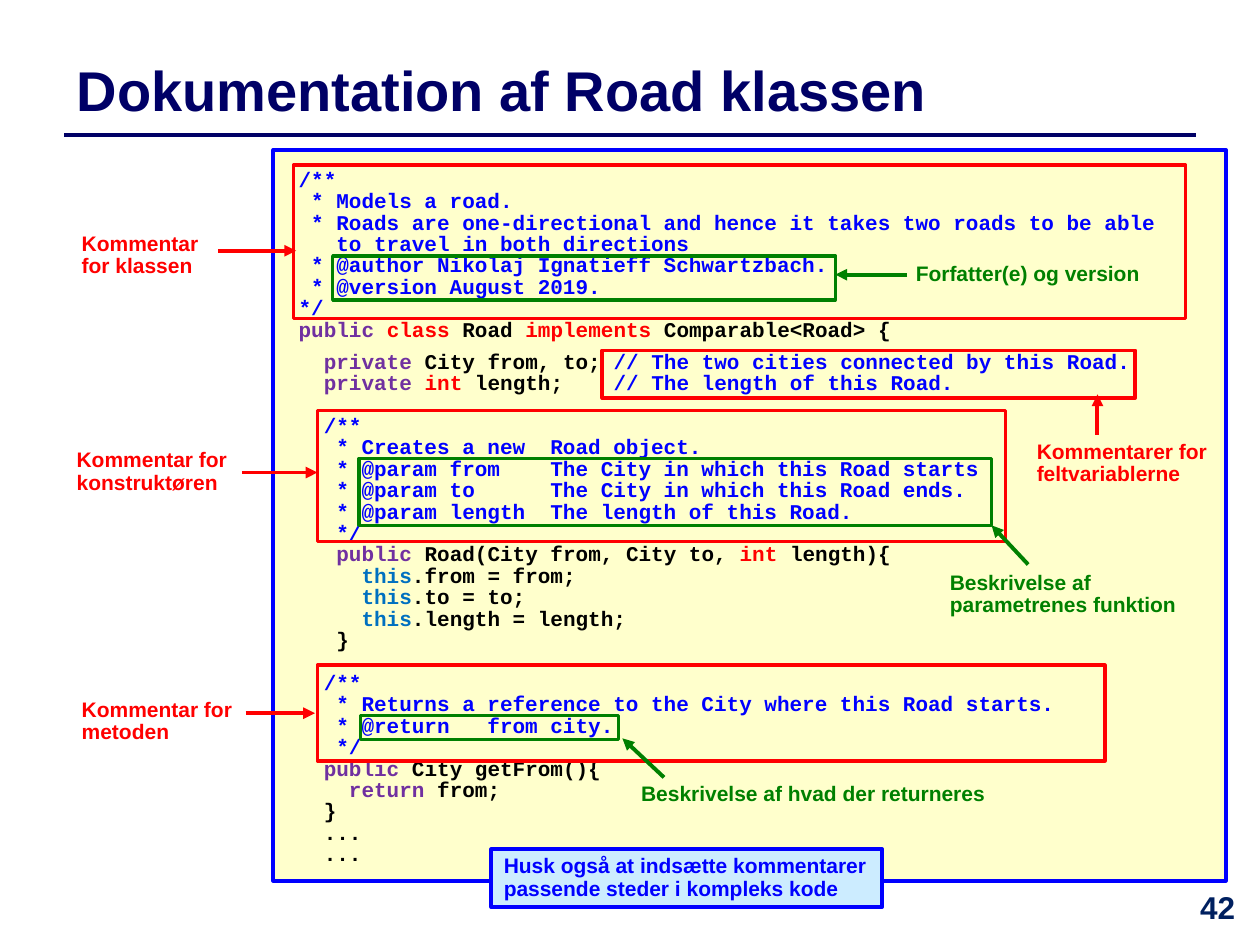
import pptx
import pptx.util
import pptx.dml.color
import pptx.enum.shapes
import pptx.enum.text
import pptx.oxml
import pptx.oxml.ns
from pptx.util import Inches

COLORS = {
    "navy": "000066", "number": "002060", "blue": "0000FF", "red": "FF0000",
    "green": "008000", "purple": "7030A0", "azure": "0070C0",
    "black": "000000", "cream": "FFFFCC", "sky": "CCECFF",
}

# Each code line is a list of (colour, text) runs; an empty list is a blank line
CODE = [
    [("blue", "/**")],
    [("blue", " * Models a road.")],
    [("blue", " * Roads are one-directional and hence it takes two roads to be able")],
    [("blue", "   to travel in both directions")],
    [("blue", " * @author Nikolaj Ignatieff Schwartzbach.")],
    [("blue", " * @version August 2019.")],
    [("blue", "*/")],
    [("purple", "public "), ("red", "class"), ("black", " Road "),
     ("red", "implements"), ("black", " Comparable<Road> {")],
    [("purple", "  private"), ("black", " City from, to; "),
     ("blue", "// The two cities connected by this Road.")],
    [("purple", "  private "), ("red", "int "), ("black", "length;    "),
     ("blue", "// The length of this Road.")],
    [],
    [("blue", "  /**")],
    [("blue", "   * Creates a new  Road object.")],
    [("blue", "   * @param from    The City in which this Road starts")],
    [("blue", "   * @param to      The City in which this Road ends.")],
    [("blue", "   * @param length  The length of this Road.")],
    [("blue", "   */")],
    [("purple", "   public "), ("black", "Road(City from, City to, "),
     ("red", "int"), ("black", " length){")],
    *[[("azure", "     this"), ("black", f".{field} = {field};")]
      for field in ("from", "to", "length")],
    [("black", "   }")],
    [],
    [("blue", "  /**")],
    [("blue", "   * Returns a reference to the City where this Road starts.")],
    [("blue", "   * @return   from city.")],
    [("blue", "   */")],
    [("purple", "  public "), ("black", "City getFrom(){")],
    [("purple", "    return "), ("black", "from;")],
    [("black", "  }")],
    [("black", "  ...")],
    [("black", "  ...")],
]
CLASS_HEADER = 7
BLANK_LINE = 12.2

# Left, top, width, height
FRAMES = [
    ("red", 2.33, 1.31, 7.08, 1.22),
    ("green", 2.85, 3.64, 5.02, 0.53),
    ("green", 2.86, 5.68, 2.05, 0.19),
    ("green", 2.64, 2.03, 3.99, 0.35),
    ("red", 2.52, 3.26, 5.46, 1.04),
    ("red", 2.52, 5.28, 6.25, 0.76),
    ("red", 4.78, 2.78, 4.23, 0.38),
]

# Colour, text, label box, arrow start and end
NOTES = [
    ("red", "Kommentar for klassen", (0.55, 1.8, 1.19, 0.46), (1.73, 1.99, 2.35, 1.99)),
    ("red", "Kommentarer for feltvariablerne", (8.13, 3.45, 1.61, 0.46), (8.71, 3.45, 8.71, 3.13)),
    ("red", "Kommentar for konstruktøren", (0.51, 3.52, 1.49, 0.46), (1.92, 3.75, 2.52, 3.75)),
    ("red", "Kommentar for metoden", (0.55, 5.5, 1.49, 0.46), (1.95, 5.66, 2.5, 5.66)),
    ("green", "Beskrivelse af parametrenes funktion", (7.44, 4.49, 2.16, 0.46), (8.16, 4.48, 7.87, 4.17)),
    ("green", "Beskrivelse af hvad der returneres", (4.99, 6.17, 3.44, 0.28), (5.27, 6.17, 4.94, 5.86)),
    ("green", "Forfatter(e) og version", (7.17, 2.04, 2.16, 0.28), (7.2, 2.18, 6.63, 2.18)),
]


def rgb(color):
    return pptx.dml.color.RGBColor.from_string(COLORS[color])


def add_run(paragraph, text, color, size=12, font="Arial"):
    run = paragraph.add_run()
    run.text = text
    run.font.name = font
    run.font.size = pptx.util.Pt(size)
    run.font.bold = True
    run.font.color.rgb = rgb(color)


def add_box(slide, place, line, width, fill=None):
    box = slide.shapes.add_shape(
        pptx.enum.shapes.MSO_SHAPE.RECTANGLE, *map(Inches, place))
    box.shadow.inherit = False
    box.line.color.rgb = rgb(line)
    box.line.width = pptx.util.Pt(width)
    if fill:
        box.fill.solid()
        box.fill.fore_color.rgb = rgb(fill)
    else:
        box.fill.background()
    return box


def write_text(frame, text, color, size=12, spacing=None,
               align=pptx.enum.text.PP_ALIGN.LEFT):
    frame.word_wrap = True
    frame.vertical_anchor = pptx.enum.text.MSO_ANCHOR.TOP
    paragraph = frame.paragraphs[0]
    paragraph.alignment = align
    paragraph.line_spacing = spacing
    add_run(paragraph, text, color, size)


def add_label(slide, place, text, color, **style):
    label = slide.shapes.add_textbox(*map(Inches, place))
    write_text(label.text_frame, text, color, **style)


def add_line(slide, ends, color, width, arrow=False):
    line = slide.shapes.add_connector(
        pptx.enum.shapes.MSO_CONNECTOR.STRAIGHT, *map(Inches, ends))
    line.line.color.rgb = rgb(color)
    line.line.width = pptx.util.Pt(width)
    if arrow:
        head = pptx.oxml.parse_xml(
            f'<a:tailEnd {pptx.oxml.ns.nsdecls("a")} type="triangle"/>')
        line.line._get_or_add_ln().append(head)
    line._element.spPr.append(
        pptx.oxml.parse_xml(f'<a:effectLst {pptx.oxml.ns.nsdecls("a")}/>'))


def add_title(slide, text):
    title = slide.shapes.title
    title.left, title.top, title.width, title.height = map(
        Inches, (0.51, 0.33, 7.17, 0.75))
    write_text(title.text_frame, text, "navy", 32)
    title.text_frame.vertical_anchor = pptx.enum.text.MSO_ANCHOR.MIDDLE


def add_code(slide):
    panel = add_box(slide, (2.17, 1.19, 7.56, 5.8), "blue", 2.25, "cream")
    frame = panel.text_frame
    frame.word_wrap = True
    frame.vertical_anchor = pptx.enum.text.MSO_ANCHOR.TOP
    frame.margin_left, frame.margin_top = Inches(0.2), Inches(0.16)
    paragraph = frame.paragraphs[0]
    gap = 0
    for number, runs in enumerate(CODE):
        if not runs:
            gap = BLANK_LINE
            continue
        if number:
            paragraph = frame.add_paragraph()
        paragraph.alignment = pptx.enum.text.PP_ALIGN.LEFT
        paragraph.line_spacing = 0.85
        paragraph.space_before = pptx.util.Pt(gap)
        paragraph.space_after = pptx.util.Pt(6 if number == CLASS_HEADER else 0)
        gap = 0
        for color, text in runs:
            add_run(paragraph, text, color, font="Courier New")


def main():
    deck = pptx.Presentation()
    deck.slide_width, deck.slide_height = Inches(10), Inches(7.5)
    slide = deck.slides.add_slide(deck.slide_layouts[5])

    # Heading and code panel
    add_title(slide, "Dokumentation af Road klassen")
    add_line(slide, (0.51, 1.07, 9.49, 1.07), "navy", 2)
    add_code(slide)

    # Frames around the comments, with their explanations
    for color, *place in FRAMES:
        add_box(slide, place, color, 2)
    for color, text, place, ends in NOTES:
        add_line(slide, ends, color, 2.25, arrow=True)
        add_label(slide, place, text, color, spacing=0.9)

    # Reminder and page number
    reminder = add_box(slide, (3.9, 6.74, 3.1, 0.46), "blue", 2.25, "sky")
    write_text(reminder.text_frame,
               "Husk også at indsætte kommentarer passende steder i kompleks kode",
               "blue", spacing=0.9)
    add_label(slide, (9.33, 7, 0.67, 0.5), "42", "number", size=18,
              align=pptx.enum.text.PP_ALIGN.CENTER)

    deck.save("out.pptx")


main()
